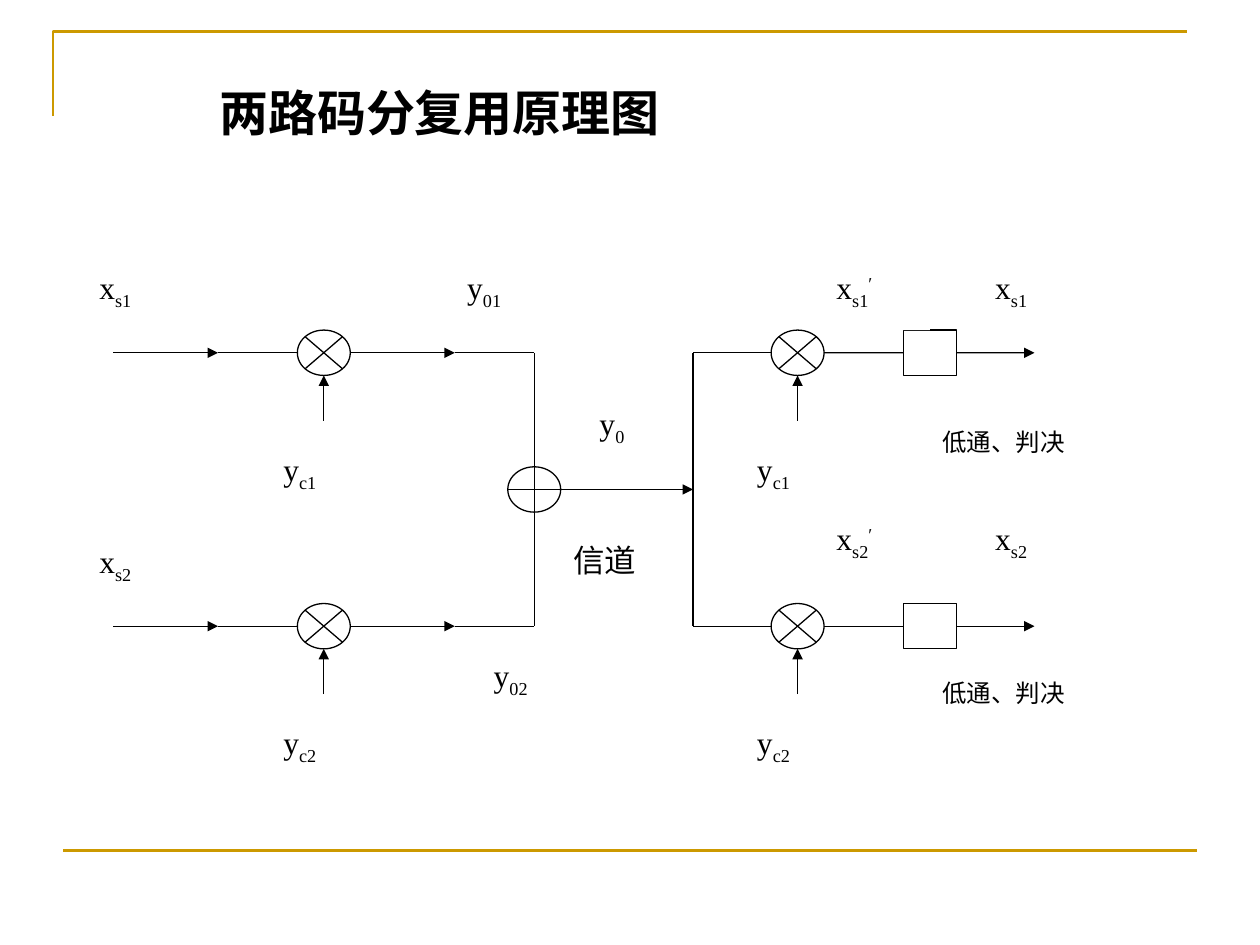
from dataclasses import dataclass

from lxml.etree import SubElement
from pptx import Presentation
from pptx.dml.color import RGBColor
from pptx.enum.shapes import MSO_CONNECTOR, MSO_SHAPE
from pptx.enum.text import MSO_ANCHOR, MSO_AUTO_SIZE, PP_ALIGN
from pptx.oxml.ns import qn
from pptx.util import Inches, Pt


@dataclass(frozen=True)
class Theme:
    ink: RGBColor = RGBColor(0x00, 0x00, 0x00)
    paper: RGBColor = RGBColor(0xFF, 0xFF, 0xFF)
    gold: RGBColor = RGBColor(0xCC, 0x99, 0x00)
    title_font: str = "Arial"
    label_font: str = "Times New Roman"
    title_size: Pt = Pt(28)
    label_size: Pt = Pt(18)
    note_size: Pt = Pt(14)
    wire_width: Pt = Pt(0.75)
    rule_width: Pt = Pt(1.5)


@dataclass(frozen=True)
class Box:
    left: float
    top: float
    width: float
    height: float


THEME = Theme()
NODE_WIDTH, NODE_HEIGHT = 0.42, 0.36
LABEL_HEIGHT = 0.54
WIRE_DROP = 0.72
SUBSCRIPT, SUPERSCRIPT = "-25000", "30000"


def apply_format(target, values):
    for name, value in values.items():
        setattr(target, name, value)


def add_line(slide, start, end, arrow=False, color=THEME.ink, width=THEME.wire_width):
    points = [Inches(value) for value in (*start, *end)]
    connector = slide.shapes.add_connector(MSO_CONNECTOR.STRAIGHT, *points)
    connector.line.color.rgb = color
    connector.line.width = width
    if arrow:
        SubElement(connector.line._get_or_add_ln(), qn("a:tailEnd"), type="triangle")
    SubElement(connector._element.spPr, qn("a:effectLst"))
    return connector


def add_block(slide, kind, left, top, width=NODE_WIDTH, height=NODE_HEIGHT, outlined=True):
    shape = slide.shapes.add_shape(kind, *map(Inches, (left, top, width, height)))
    shape.shadow.inherit = False
    shape.fill.solid()
    shape.fill.fore_color.rgb = THEME.paper
    if outlined:
        shape.line.color.rgb = THEME.ink
        shape.line.width = THEME.wire_width
    else:
        shape.line.fill.background()
    return shape


def add_label(slide, left, top, width, text, subscript="", superscript="", size=THEME.label_size):
    shape = add_block(slide, MSO_SHAPE.RECTANGLE, left, top, width, LABEL_HEIGHT, outlined=False)
    apply_format(shape.text_frame, {"word_wrap": True, "vertical_anchor": MSO_ANCHOR.TOP})
    paragraph = shape.text_frame.paragraphs[0]
    paragraph.alignment = PP_ALIGN.JUSTIFY
    for part, baseline in ((text, None), (subscript, SUBSCRIPT), (superscript, SUPERSCRIPT)):
        if not part:
            continue
        run = paragraph.add_run()
        run.text = part
        apply_format(run.font, {"name": THEME.label_font, "size": size})
        run.font.color.rgb = THEME.ink
        if baseline:
            run._r.get_or_add_rPr().set("baseline", baseline)


def add_frame(slide, box):
    left, top = box.left, box.top
    builder = slide.shapes.build_freeform(Inches(left), Inches(top + 0.67), scale=1.0)
    corner = [(left, top), (left + box.width, top)]
    builder.add_line_segments([(Inches(x), Inches(y)) for x, y in corner], close=False)
    shape = builder.convert_to_shape()
    shape.shadow.inherit = False
    shape.fill.background()
    shape.line.color.rgb = THEME.gold
    shape.line.width = THEME.rule_width
    bottom = top + box.height
    add_line(slide, (left + 0.08, bottom), (left + 0.08 + box.width, bottom),
             color=THEME.gold, width=THEME.rule_width)


def add_title(slide, box, text):
    title = slide.shapes.title
    apply_format(title, {name: Inches(getattr(box, name))
                         for name in ("left", "top", "width", "height")})
    title.text_frame.text = text
    apply_format(title.text_frame, {"word_wrap": False, "vertical_anchor": MSO_ANCHOR.MIDDLE,
                                    "auto_size": MSO_AUTO_SIZE.SHAPE_TO_FIT_TEXT})
    paragraph = title.text_frame.paragraphs[0]
    paragraph.alignment = PP_ALIGN.LEFT
    font = paragraph.runs[0].font
    apply_format(font, {"name": THEME.title_font, "size": THEME.title_size, "bold": True})
    font.color.rgb = THEME.ink


def add_multiplier(slide, left, wire, code):
    add_block(slide, MSO_SHAPE.FLOWCHART_SUMMING_JUNCTION, left, wire - NODE_HEIGHT / 2)
    center = left + NODE_WIDTH / 2
    add_line(slide, (center, wire + 0.54), (center, wire + NODE_HEIGHT / 2), arrow=True)
    add_label(slide, left - 0.21, wire + WIRE_DROP, 0.84, "y", code)


def add_transmitter(slide, box, number, output_left, output_top):
    left, right, wire = box.left, box.left + box.width, box.top + WIRE_DROP
    multiplier = left + 1.67
    add_label(slide, left, box.top, 0.63, "x", f"s{number}")
    add_label(slide, left + output_left, box.top + output_top, 0.63, "y", f"0{number}")
    add_multiplier(slide, multiplier, wire, f"c{number}")
    stops = [left + 0.21, left + 1.04, multiplier, multiplier + NODE_WIDTH, right - 0.63, right]
    for start, end, arrow in ((0, 1, True), (1, 2, False), (3, 4, True), (4, 5, False)):
        add_line(slide, (stops[start], wire), (stops[end], wire), arrow)


def add_receiver(slide, box, number, signal_rise, note_drop):
    left, wire = box.left, box.top + WIRE_DROP
    multiplier, decider = left + 0.62, left + 1.67
    add_line(slide, (left, wire), (multiplier, wire))
    add_multiplier(slide, multiplier, wire, f"c{number}")
    square = add_block(slide, MSO_SHAPE.RECTANGLE, decider, wire - NODE_HEIGHT / 2)
    incoming = add_line(slide, (multiplier + NODE_WIDTH, wire), (decider, wire))
    incoming.end_connect(square, 1)
    outgoing = add_line(slide, (decider + NODE_WIDTH, wire), (left + 2.71, wire), arrow=True)
    outgoing.begin_connect(square, 3)
    add_label(slide, left + 1.04, wire - signal_rise, 0.84, "x", f"s{number}", "′")
    add_label(slide, left + 2.3, wire - signal_rise, 0.84, "x", f"s{number}")
    add_label(slide, left + 1.88, wire + note_drop, 1.67, "低通、判决", size=THEME.note_size)


def add_channel(slide, box):
    left, right = box.left, box.left + box.width
    top, bottom = box.top, box.top + box.height
    middle = top + box.height / 2
    adder_left, adder_top = left - NODE_WIDTH / 2, middle - NODE_HEIGHT / 2
    add_line(slide, (left, top), (left, adder_top))
    add_line(slide, (left, adder_top + NODE_HEIGHT), (left, bottom))
    add_block(slide, MSO_SHAPE.FLOWCHART_OR, adder_left, adder_top)
    add_line(slide, (adder_left + NODE_WIDTH, middle), (right, middle), arrow=True)
    add_line(slide, (right, top), (right, bottom))
    add_label(slide, left + 0.42, middle - 0.73, 0.63, "y", "0")
    add_label(slide, left + 0.21, middle + 0.36, 0.84, "信道")


def main():
    presentation = Presentation()
    presentation.slide_width, presentation.slide_height = Inches(10), Inches(7.5)
    slide = presentation.slides.add_slide(presentation.slide_layouts[5])
    slide.background.fill.solid()
    slide.background.fill.fore_color.rgb = THEME.paper
    add_frame(slide, Box(0.42, 0.25, 9, 6.5))
    add_title(slide, Box(1.64, 0.6, 3.78, 0.57), "两路码分复用原理图")
    first_top, pitch, row_height = 2.08, 2.17, 1.98
    output_labels = ((2.92, 0), (3.13, 0.91))
    receiver_labels = ((0.72, 0.54), (0.9, 0.36))
    for index in range(2):
        top = first_top + index * pitch
        add_transmitter(slide, Box(0.69, top, 3.55, row_height), index + 1, *output_labels[index])
        add_receiver(slide, Box(5.5, top, 3.55, row_height), index + 1, *receiver_labels[index])
    add_channel(slide, Box(4.24, first_top + WIRE_DROP, 1.26, pitch))
    presentation.save("out.pptx")


if __name__ == "__main__":
    main()
